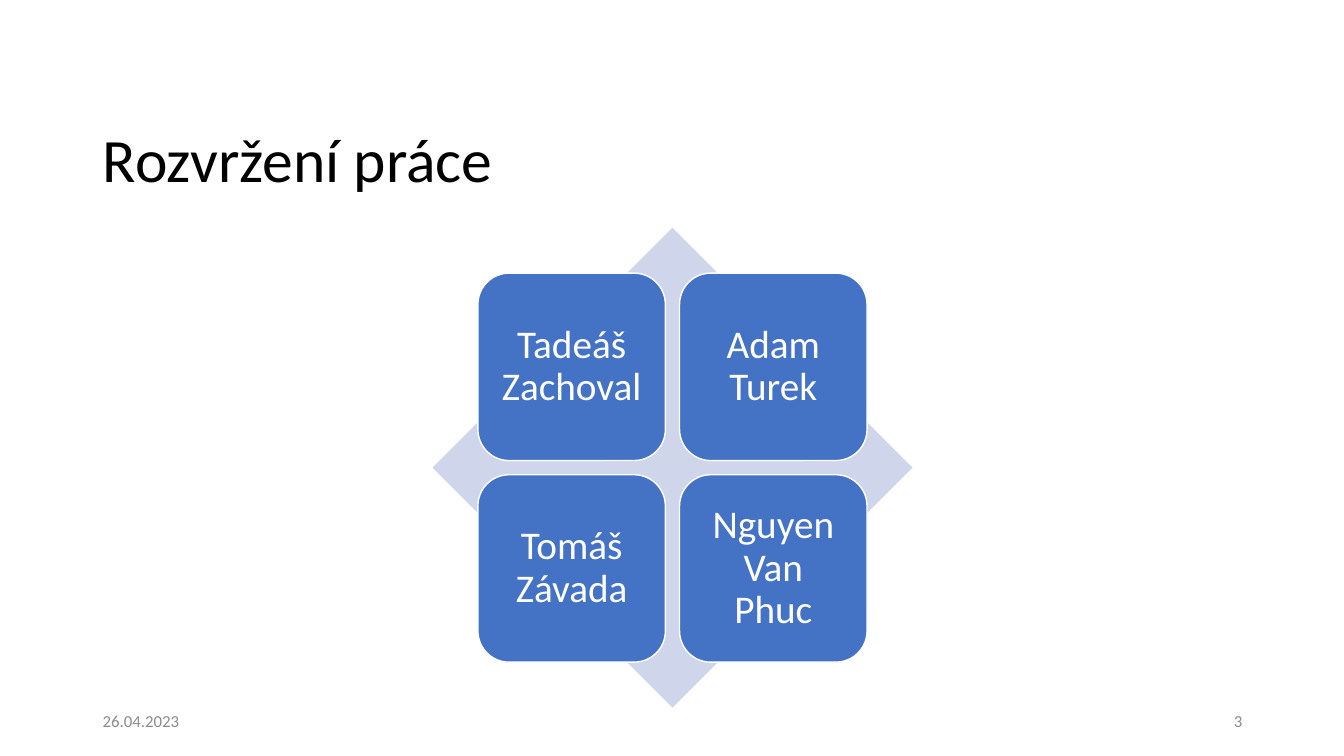
from pptx import Presentation
from pptx.dml.color import RGBColor
from pptx.enum.shapes import MSO_SHAPE
from pptx.enum.text import MSO_ANCHOR, PP_ALIGN
from pptx.util import Emu, Pt

PX = 9144  # one hundredth of an inch
BLACK = RGBColor(0x00, 0x00, 0x00)
WHITE = RGBColor(0xFF, 0xFF, 0xFF)
GREY = RGBColor(0x8C, 0x8C, 0x8C)
BLUE = RGBColor(0x44, 0x72, 0xC4)
PALE_BLUE = RGBColor(0xCF, 0xD5, 0xEA)
LEFT, CENTER, RIGHT = PP_ALIGN.LEFT, PP_ALIGN.CENTER, PP_ALIGN.RIGHT
MIDDLE = MSO_ANCHOR.MIDDLE
DIAMOND, ROUNDED = MSO_SHAPE.DIAMOND, MSO_SHAPE.ROUNDED_RECTANGLE
TITLE_ONLY = 5

MEMBERS = ["Tadeáš Zachoval", "Adam Turek", "Tomáš Závada", "Nguyen Van Phuc"]
TILE_LEFT, TILE_TOP, TILE_SIZE, TILE_PITCH = 474, 271, 186, 200


def px(*lengths):
    return [Emu(length * PX) for length in lengths]


class SlideBuilder:
    font_name = "Calibri"

    def __init__(self, deck):
        self.slide = deck.slides.add_slide(deck.slide_layouts[TITLE_ONLY])

    def set_text(self, box, text, size, color, align, spacing=1.0):
        frame = box.text_frame
        frame.text = text
        frame.word_wrap = True
        frame.vertical_anchor = MIDDLE
        para = frame.paragraphs[0]
        para.alignment = align
        para.line_spacing = spacing
        font = para.runs[0].font
        font.name = self.font_name
        font.size = Pt(size)
        font.color.rgb = color

    def title(self, text, *place):
        box = self.slide.shapes.title
        box.left, box.top, box.width, box.height = px(*place)
        self.set_text(box, text, 44, BLACK, LEFT, 0.9)

    def label(self, text, align, *place):
        box = self.slide.shapes.add_textbox(*px(*place))
        self.set_text(box, text, 12, GREY, align)

    def shape(self, kind, fill, *place):
        shape = self.slide.shapes.add_shape(kind, *px(*place))
        shape.shadow.inherit = False
        shape.fill.solid()
        shape.fill.fore_color.rgb = fill
        shape.line.fill.background()
        return shape

    def tile(self, text, left, top):
        tile = self.shape(ROUNDED, BLUE, left, top, TILE_SIZE, TILE_SIZE)
        tile.line.color.rgb = WHITE
        tile.line.width = Pt(1)
        self.set_text(tile, text, 28, WHITE, CENTER, 0.9)
        frame = tile.text_frame
        (frame.margin_left, frame.margin_top,
         frame.margin_right, frame.margin_bottom) = px(12, 12, 12, 12)


def main():
    deck = Presentation()
    deck.slide_width, deck.slide_height = px(1333, 750)
    builder = SlideBuilder(deck)
    builder.title("Rozvržení práce", 92, 89, 1150, 145)
    builder.shape(DIAMOND, PALE_BLUE, 429, 226, 476, 476)
    for index, member in enumerate(MEMBERS):
        row, column = divmod(index, 2)
        builder.tile(member, TILE_LEFT + column * TILE_PITCH,
                     TILE_TOP + row * TILE_PITCH)
    builder.label("26.04.2023", LEFT, 92, 695, 300, 40)
    builder.label("3", RIGHT, 942, 695, 300, 40)
    deck.save("out.pptx")


if __name__ == "__main__":
    main()
